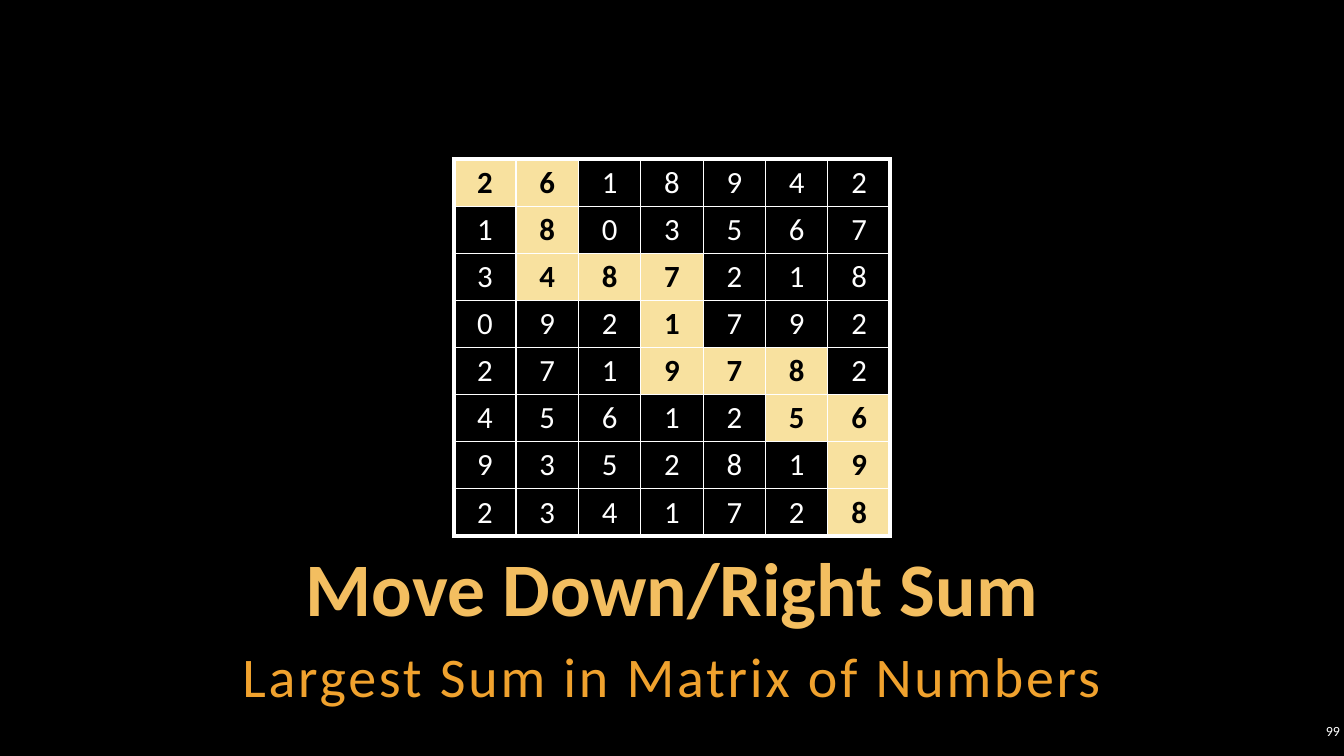
from lxml.etree import SubElement as Sub
from pptx import Presentation
from pptx.dml.color import RGBColor
from pptx.enum.text import MSO_ANCHOR as Anchor, PP_ALIGN as Align
from pptx.oxml.ns import qn
from pptx.util import Inches, Pt

BLACK = RGBColor(0x00, 0x00, 0x00)
WHITE = RGBColor(0xFF, 0xFF, 0xFF)
CREAM = RGBColor(0xF8, 0xE1, 0x9F)
GOLD = RGBColor(0xF3, 0xBE, 0x60)
AMBER = RGBColor(0xF0, 0xA2, 0x2E)
FONT = "Calibri"

MATRIX = [
    "2618942",
    "1803567",
    "3487218",
    "0921792",
    "2719782",
    "4561251",
    "9352819",
    "2341728",
]
MATRIX[5] = "4561256"
MOVES = "RDDRRDDRRDRDD"  # best way from the top left corner


def add_run(para, text, size, color, bold=False, gap=0):
    run = para.add_run()
    run.text = text
    font = run.font
    font.name, font.size, font.bold = FONT, Pt(size), bold
    font.color.rgb = color
    if gap:
        run._r.get_or_add_rPr().set("spc", str(gap * 100))


def add_label(slide, box, text, size, color, align=Align.CENTER,
              anchor=Anchor.TOP, line=1.0, after=0, bold=False, gap=0):
    frame = slide.shapes.add_textbox(*map(Inches, box)).text_frame
    frame.word_wrap = True
    frame.vertical_anchor = anchor
    frame.margin_left = frame.margin_right = Inches(0.04)
    frame.margin_top = frame.margin_bottom = Inches(0.04)
    para = frame.paragraphs[0]
    para.alignment = align
    para.line_spacing = line
    para.space_after = Pt(after)
    add_run(para, text, size, color, bold, gap)


def add_edge(cell, side, width):
    edge = Sub(cell._tc.get_or_add_tcPr(), qn("a:ln" + side), w=str(Pt(width)))
    fill = Sub(edge, qn("a:solidFill"))
    Sub(fill, qn("a:srgbClr"), val=str(WHITE))


def walk(moves):
    row = col = 0
    steps = {(row, col)}
    for move in moves:
        row += move == "D"
        col += move == "R"
        steps.add((row, col))
    return steps


def add_matrix(slide):
    rows, cols = len(MATRIX), len(MATRIX[0])
    frame = slide.shapes.add_table(rows, cols, Inches(4.5), Inches(1.58),
                                   Inches(4.33), Inches(3.67))
    table = frame.table
    table.first_row = table.horz_banding = False
    steps = walk(MOVES)
    for r, line in enumerate(MATRIX):
        for c, digit in enumerate(line):
            cell = table.cell(r, c)
            # Thick outer frame, thin inner grid
            outer = {"L": c == 0, "R": c == cols - 1,
                     "T": r == 0, "B": r == rows - 1}
            for side, thick in outer.items():
                add_edge(cell, side, 3 if thick else 1)
            # Cells on the best way stand out
            hit = (r, c) in steps
            if hit:
                cell.fill.solid()
                cell.fill.fore_color.rgb = CREAM
            else:
                cell.fill.background()
            cell.margin_left = cell.margin_right = Inches(0.09)
            cell.margin_top = cell.margin_bottom = Inches(0.05)
            para = cell.text_frame.paragraphs[0]
            para.alignment = Align.CENTER
            add_run(para, digit, 22, BLACK if hit else WHITE, hit)


def main():
    deck = Presentation()
    deck.slide_width, deck.slide_height = Inches(13.33), Inches(7.5)
    slide = deck.slides.add_slide(deck.slide_layouts[6])
    back = slide.background.fill
    back.solid()
    back.fore_color.rgb = BLACK

    # Title and subtitle
    add_label(slide, (1, 5.42, 11.33, 0.9), "Move Down/Right Sum", 54, GOLD,
              anchor=Anchor.BOTTOM, line=0.9, bold=True)
    add_label(slide, (1, 6.29, 11.33, 0.79),
              "Largest Sum in Matrix of Numbers", 40, AMBER,
              line=1.05, after=6, gap=2)

    # Slide number
    add_label(slide, (12.86, 7.14, 0.47, 0.22), "99", 10, WHITE,
              align=Align.RIGHT, anchor=Anchor.MIDDLE)

    # Number matrix
    add_matrix(slide)
    deck.save("out.pptx")


if __name__ == "__main__":
    main()
